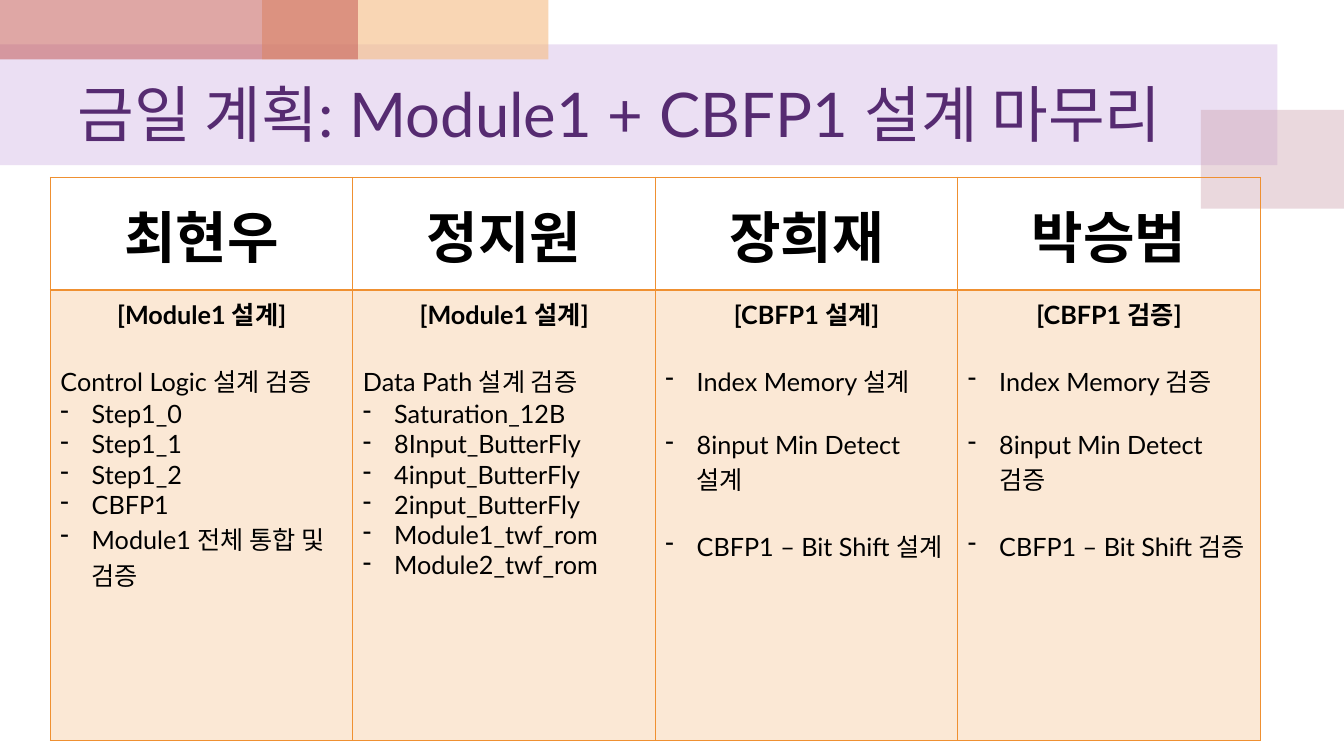
import pptx
import pptx.dml.color
import pptx.enum.shapes
import pptx.enum.text
import pptx.oxml
import pptx.oxml.ns
import pptx.util
from lxml import etree

RGBColor = pptx.dml.color.RGBColor
Inches = pptx.util.Inches
Pt = pptx.util.Pt
PP_ALIGN = pptx.enum.text.PP_ALIGN
MSO_ANCHOR = pptx.enum.text.MSO_ANCHOR

LILAC = RGBColor(0xBF, 0x98, 0xD8)
ROSE = RGBColor(0xCC, 0x9E, 0xAC)
PEACH = RGBColor(0xF5, 0xBC, 0x83)
RED = RGBColor(0xC0, 0x50, 0x4D)
PURPLE = RGBColor(0x56, 0x2B, 0x71)
ORANGE = RGBColor(0xEF, 0x90, 0x31)
BLACK = RGBColor(0, 0, 0)

FONT = "Lato"
HANGING = Inches(0.31)
LINE_GAP = Pt(22)

BANDS = [
    ((0, 0.44, 12.67, 1.2), LILAC, 30),
    ((11.91, 1.09, 1.43, 0.98), ROSE, 40),
    ((2.6, 0, 2.84, 0.59), PEACH, 60),
    ((0, 0, 3.55, 0.59), RED, 50),
]

# member, task, introduction, steps, whether the steps stand apart
PLANS = [
    ("최현우", "[Module1 설계]", "Control Logic 설계 검증",
     ["Step1_0", "Step1_1", "Step1_2", "CBFP1", "Module1 전체 통합 및 검증"], False),
    ("정지원", "[Module1 설계]", "Data Path 설계 검증",
     ["Saturation_12B", "8Input_ButterFly", "4input_ButterFly", "2input_ButterFly",
      "Module1_twf_rom", "Module2_twf_rom"], False),
    ("장희재", "[CBFP1 설계]", None,
     ["Index Memory 설계", "8input Min Detect 설계", "CBFP1 – Bit Shift 설계"], True),
    ("박승범", "[CBFP1 검증]", None,
     ["Index Memory 검증", "8input Min Detect 검증", "CBFP1 – Bit Shift 검증"], True),
]


def fill_translucent(target, colour, opacity):
    """Fill a shape or cell with a colour at a percentage of opacity."""
    target.fill.solid()
    target.fill.fore_color.rgb = colour
    holder = target._element.spPr if hasattr(target, "shape_type") else target._tc.tcPr
    srgb = holder.find(pptx.oxml.ns.qn("a:solidFill"))[0]
    etree.SubElement(srgb, pptx.oxml.ns.qn("a:alpha"), val=str(opacity * 1000))


def outline_cell(cell):
    properties = cell._tc.get_or_add_tcPr()
    for position, side in enumerate("LRTB"):
        properties.insert(position, pptx.oxml.parse_xml(
            f'<a:ln{side} {pptx.oxml.ns.nsdecls("a")} w="{Pt(1)}"><a:solidFill>'
            f'<a:srgbClr val="{ORANGE}"/></a:solidFill></a:ln{side}>'))


def write(paragraph, text, size, colour=BLACK, bold=False, align=PP_ALIGN.LEFT):
    paragraph.text = text
    paragraph.alignment = align
    font = paragraph.runs[0].font
    font.name, font.size, font.bold = FONT, Pt(size), bold
    font.color.rgb = colour


def add_dash(paragraph):
    properties = paragraph._p.get_or_add_pPr()
    properties.set("marL", str(HANGING))
    properties.set("indent", str(-HANGING))
    etree.SubElement(properties, pptx.oxml.ns.qn("a:buChar"), char="-")


def draw_bands(slide):
    for box, colour, opacity in BANDS:
        band = slide.shapes.add_shape(
            pptx.enum.shapes.MSO_SHAPE.RECTANGLE, *map(Inches, box))
        band.shadow.inherit = False
        band.line.fill.background()
        fill_translucent(band, colour, opacity)


def draw_title(slide, box):
    frame = slide.shapes.add_textbox(*map(Inches, box)).text_frame
    frame.word_wrap = True
    frame.vertical_anchor = MSO_ANCHOR.MIDDLE
    write(frame.paragraphs[0], "금일 계획: Module1 + CBFP1 설계 마무리", 44, PURPLE)


def write_plan(frame, task, introduction, steps, spaced):
    heading = frame.paragraphs[0]
    write(heading, task, 18, bold=True, align=PP_ALIGN.CENTER)
    heading.space_after = LINE_GAP
    if introduction:
        write(frame.add_paragraph(), introduction, 18)
    for step in steps:
        item = frame.add_paragraph()
        write(item, step, 18)
        if spaced and step != steps[-1]:
            item.space_after = LINE_GAP
        add_dash(item)


def draw_plans(slide, box):
    """Place one column per member, with the name in a fifth of the height."""
    left, top, width, height = map(Inches, box)
    table = slide.shapes.add_table(2, len(PLANS), left, top, width, height).table
    table.first_row = table.horz_banding = False
    table.rows[0].height = int(height * 0.2)
    table.rows[1].height = int(height * 0.8)
    for column, (member, *plan) in enumerate(PLANS):
        name_cell, plan_cell = table.cell(0, column), table.cell(1, column)
        name_cell.vertical_anchor = MSO_ANCHOR.MIDDLE
        name_cell.fill.background()
        write(name_cell.text_frame.paragraphs[0], member, 40,
              bold=True, align=PP_ALIGN.CENTER)
        fill_translucent(plan_cell, ORANGE, 20)
        write_plan(plan_cell.text_frame, *plan)
        outline_cell(name_cell)
        outline_cell(plan_cell)


def main():
    deck = pptx.Presentation()
    deck.slide_width, deck.slide_height = Inches(13.33), Inches(7.5)
    slide = deck.slides.add_slide(deck.slide_layouts[6])
    draw_bands(slide)
    draw_title(slide, (0.67, 0.59, 12, 1.05))
    draw_plans(slide, (0.5, 1.76, 12, 5.59))
    deck.save("out.pptx")


if __name__ == "__main__":
    main()
